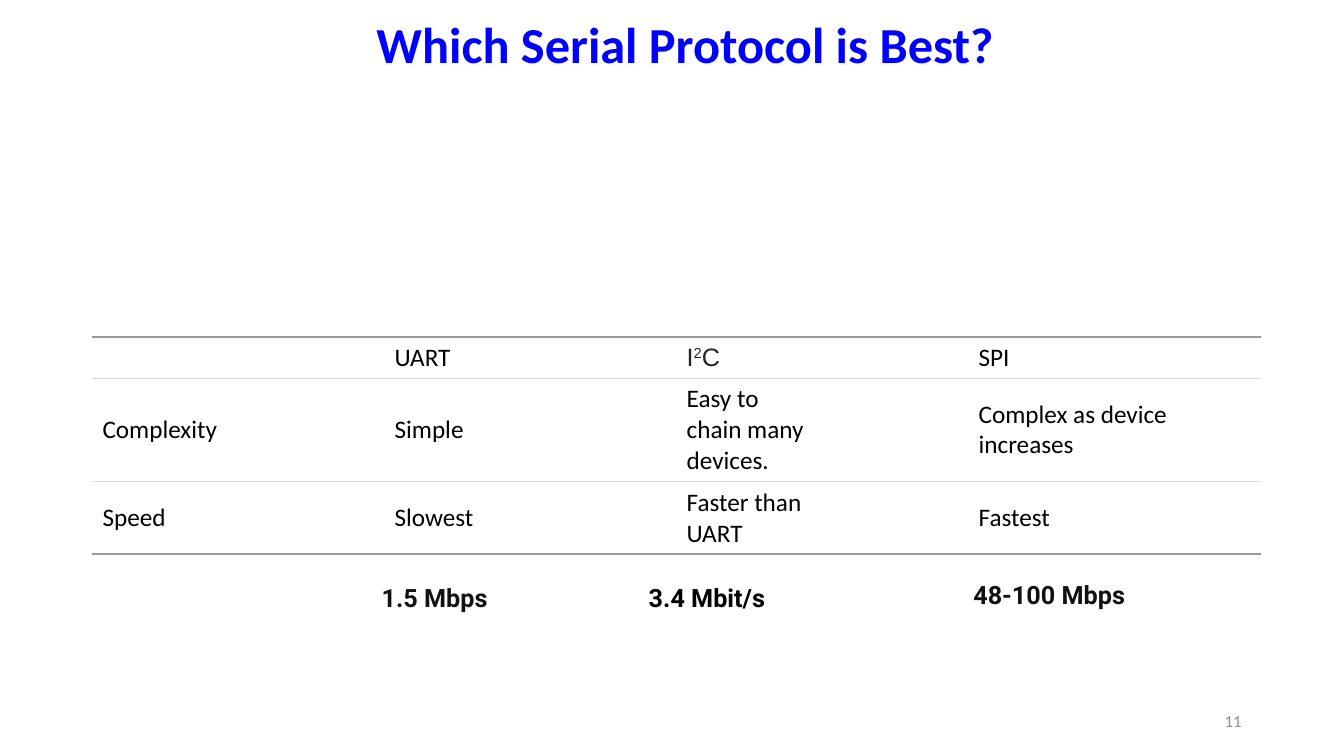
import pptx
import pptx.dml.color
import pptx.enum.text
import pptx.oxml
import pptx.oxml.ns
import pptx.util
from pptx.util import Cm

COLOURS = {
    "title": "0000FF", "text": "000000", "formula": "242729", "speed": "111111",
    "number": "8C8C8C", "paper": "FFFFFF", "outer_rule": "999999", "inner_rule": "DDDDDD",
}
ANCHOR = pptx.enum.text.MSO_ANCHOR
ALIGN = pptx.enum.text.PP_ALIGN
AUTO_SIZE = pptx.enum.text.MSO_AUTO_SIZE

OUTER_RULE = ("outer_rule", 1.5)
INNER_RULE = ("inner_rule", 0.75)
ROW_HEIGHTS = (1.03, 2.61, 1.83)
COMPARISON = (
    ("", "UART", "I2C", "SPI"),
    ("Complexity", "Simple", "Easy to\nchain many\ndevices.", "Complex as device\nincreases"),
    ("Speed", "Slowest", "Faster than\nUART", "Fastest"),
)
# Text, colour and box of each data rate
RATES = (
    ("1.5 Mbps", "speed", (9.37, 14.55, 3.25, 1.02)),
    ("3.4 Mbit/s ", "text", (16.1, 14.55, 3.61, 1.02)),
    ("48-100 Mbps", "speed", (24.28, 14.48, 4.37, 1.02)),
)


def colour(name):
    return pptx.dml.color.RGBColor.from_string(COLOURS[name])


def write(para, text, size=18, font="Calibri", ink="text", bold=False, raised=False):
    """Append formatted text to a paragraph, breaking lines at newlines."""
    for index, line in enumerate(text.split("\n")):
        if index:
            para.add_line_break()
        span = para.add_run()
        span.text = line
        span.font.size = pptx.util.Pt(size)
        span.font.name = font
        span.font.bold = bold
        span.font.color.rgb = colour(ink)
        if raised:
            span.font._element.set("baseline", "30000")


def draw_rules(cell, top, bottom):
    """Rule a cell above and below, leaving its sides open."""
    properties = cell._tc.get_or_add_tcPr()
    namespace = pptx.oxml.ns.nsdecls("a")
    rules = (("lnL", None), ("lnR", None), ("lnT", top), ("lnB", bottom))
    for position, (tag, rule) in enumerate(rules):
        width, paint = 0, "<a:noFill/>"
        if rule:
            width = pptx.util.Pt(rule[1])
            paint = f'<a:solidFill><a:srgbClr val="{COLOURS[rule[0]]}"/></a:solidFill>'
        line = pptx.oxml.parse_xml(f'<a:{tag} {namespace} w="{width}">{paint}</a:{tag}>')
        properties.insert(position, line)


def add_title(page, box):
    title = page.shapes.title
    title.left, title.top, title.width, title.height = map(Cm, box)
    title.text_frame.vertical_anchor = ANCHOR.BOTTOM
    title.text_frame.auto_size = AUTO_SIZE.NONE
    para = title.text_frame.paragraphs[0]
    para.alignment = ALIGN.CENTER
    para.line_spacing = 0.9
    write(para, "Which Serial Protocol is Best?", size=36, ink="title", bold=True)


def add_comparison(page, box):
    row_count, column_count = len(COMPARISON), len(COMPARISON[0])
    table = page.shapes.add_table(row_count, column_count, *map(Cm, box)).table
    table.first_row = table.horz_banding = False
    for column in table.columns:
        column.width = Cm(box[2] / column_count)
    for row, height in zip(table.rows, ROW_HEIGHTS):
        row.height = Cm(height)

    for row_index, texts in enumerate(COMPARISON):
        top = INNER_RULE if row_index else OUTER_RULE
        bottom = OUTER_RULE if row_index == row_count - 1 else INNER_RULE
        for column_index, text in enumerate(texts):
            cell = table.cell(row_index, column_index)
            cell.vertical_anchor = ANCHOR.MIDDLE
            cell.fill.solid()
            cell.fill.fore_color.rgb = colour("paper")
            draw_rules(cell, top, bottom)
            para = cell.text_frame.paragraphs[0]
            if text == "I2C":
                for letter in text:
                    write(para, letter, font="Arial", ink="formula", raised=letter == "2")
            elif text:
                write(para, text)


def add_rate(page, box, text, ink):
    frame = page.shapes.add_textbox(*map(Cm, box)).text_frame
    frame.word_wrap = False
    frame.auto_size = AUTO_SIZE.SHAPE_TO_FIT_TEXT
    write(frame.paragraphs[0], text, font="Roboto", ink=ink, bold=True)


def add_page_number(page, box):
    frame = page.shapes.add_textbox(*map(Cm, box)).text_frame
    frame.word_wrap = True
    frame.vertical_anchor = ANCHOR.MIDDLE
    frame.paragraphs[0].alignment = ALIGN.RIGHT
    write(frame.paragraphs[0], "11", size=12, ink="number")


def main():
    deck = pptx.Presentation()
    deck.slide_width, deck.slide_height = Cm(33.87), Cm(19.05)
    page = deck.slides.add_slide(deck.slide_layouts[5])  # Title Only

    add_page_number(page, (23.92, 17.66, 7.62, 1.01))
    add_comparison(page, (2.33, 8.5, 29.44, sum(ROW_HEIGHTS)))
    for text, ink, box in RATES:
        add_rate(page, box, text, ink)
    add_title(page, (4.57, 0, 25.4, 2.01))

    deck.save("out.pptx")


if __name__ == "__main__":
    main()
